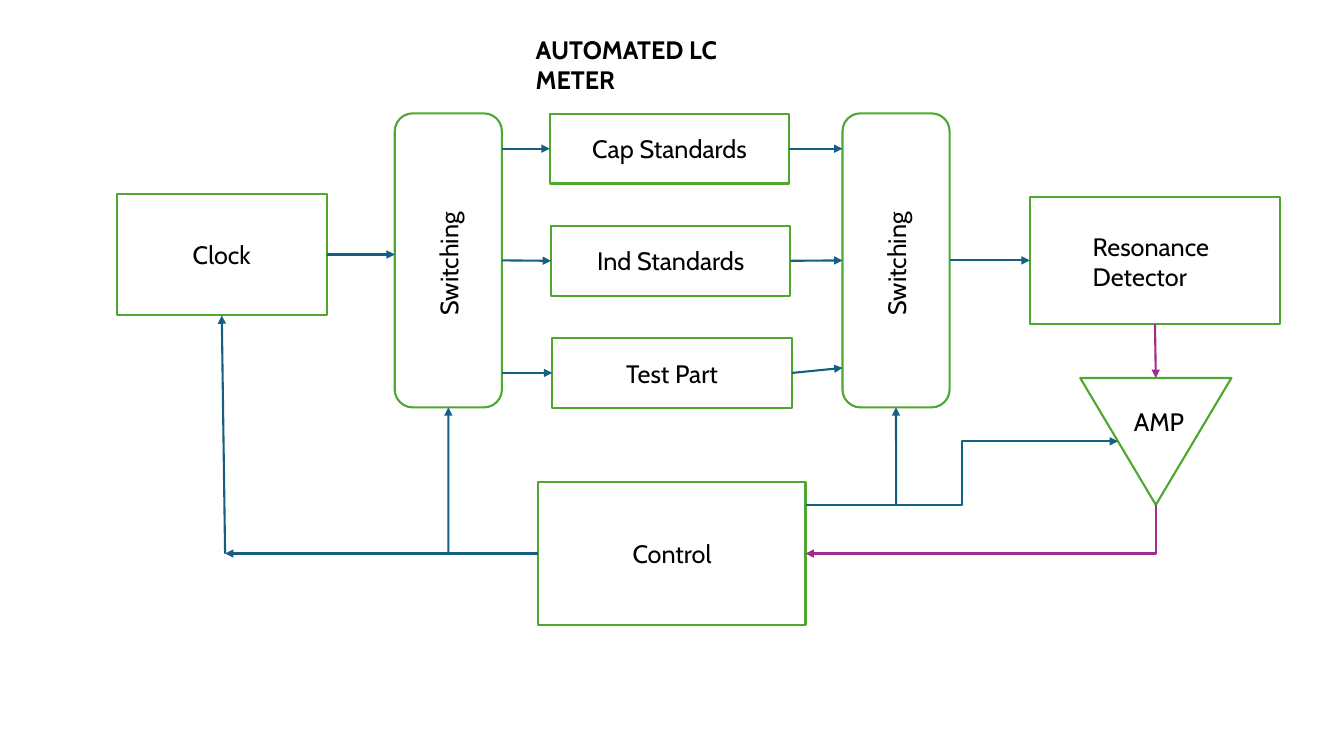
from lxml.etree import SubElement
from pptx import Presentation
from pptx.dml.color import RGBColor
from pptx.enum.shapes import MSO_CONNECTOR, MSO_SHAPE
from pptx.enum.text import MSO_ANCHOR, MSO_AUTO_SIZE, PP_ALIGN
from pptx.oxml.ns import qn
from pptx.util import Inches, Pt

ROWS, COLUMNS = 90, 160
CELL = Inches(7.5) / ROWS
BLACK = RGBColor(0x00, 0x00, 0x00)
WHITE = RGBColor(0xFF, 0xFF, 0xFF)
GREEN = RGBColor(0x4E, 0xA7, 0x2E)
TEAL = RGBColor(0x15, 0x60, 0x82)
PURPLE = RGBColor(0xA0, 0x2B, 0x93)
LEFT, BOTTOM, RIGHT = 1, 2, 3


def cells(*counts):
    return [round(count * CELL) for count in counts]


def write(frame, text, bold=False):
    frame.text = text
    for paragraph in frame.paragraphs:
        for run in paragraph.runs:
            run.font.name = "Cabin"
            run.font.size = Pt(18)
            run.font.bold = bold
            run.font.color.rgb = BLACK


def block(slide, area, text="", kind=MSO_SHAPE.RECTANGLE):
    outline = slide.shapes.add_shape(kind, *cells(*area))
    outline.shadow.inherit = False
    outline.fill.solid()
    outline.fill.fore_color.rgb = WHITE
    outline.line.color.rgb = GREEN
    outline.line.width = Pt(1.5)
    if text:
        write(outline.text_frame, text)
        outline.text_frame.vertical_anchor = MSO_ANCHOR.MIDDLE
        outline.text_frame.paragraphs[0].alignment = PP_ALIGN.CENTER
    return outline


def label(slide, area, text, bold=False, wrap=False, rotation=0):
    caption = slide.shapes.add_textbox(*cells(*area))
    caption.rotation = rotation
    caption.text_frame.word_wrap = wrap
    caption.text_frame.auto_size = MSO_AUTO_SIZE.SHAPE_TO_FIT_TEXT
    write(caption.text_frame, text, bold)


def switch(slide, left):
    top, width, height = 13.5, 12.75, 35
    label_width, label_height = 15.1, 4.8
    bank = block(slide, (left, top, width, height), kind=MSO_SHAPE.ROUNDED_RECTANGLE)
    label_left = left + (width - label_width) / 2
    label_top = top + (height - label_height) / 2 + 0.2
    label(slide, (label_left, label_top, label_width, label_height), "Switching", rotation=270)
    return bank


def arrow(slide, start=(0, 0), end=(0, 0), begin=None, finish=None,
          color=TEAL, kind=MSO_CONNECTOR.STRAIGHT):
    wire = slide.shapes.add_connector(kind, *cells(*start, *end))
    if begin:
        wire.begin_connect(*begin)
    if finish:
        wire.end_connect(*finish)
    wire.line.color.rgb = color
    wire.line.width = Pt(1.5)
    SubElement(wire.line._get_or_add_ln(), qn("a:tailEnd"), type="triangle")
    SubElement(wire._element.spPr, qn("a:effectLst"))
    return wire


def corner_arrow(slide, start, end, color):
    across, down = start[0] - end[0], end[1] - start[1]
    middle_x, middle_y = (start[0] + end[0]) / 2, (start[1] + end[1]) / 2
    wire = arrow(slide, (middle_x - down / 2, middle_y - across / 2),
                 (middle_x + down / 2, middle_y + across / 2),
                 color=color, kind=MSO_CONNECTOR.ELBOW)
    properties = wire._element.spPr
    properties.find(qn("a:xfrm")).set("rot", "5400000")
    properties.find(qn("a:prstGeom")).set("prst", "bentConnector2")


def main():
    deck = Presentation()
    deck.slide_width, deck.slide_height = cells(COLUMNS, ROWS)
    slide = deck.slides.add_slide(deck.slide_layouts[6])

    label(slide, (62.6, 3.5, 32.5, 4.8), "AUTOMATED LC METER", bold=True, wrap=True)
    generator = block(slide, (13.9, 23.05, 25, 14.5), "Clock")
    controller = block(slide, (64.1, 57.4, 31.8, 17), "Control")
    cap, ind, test = [
        block(slide, (65.45 + 0.15 * index, 13.55 + 13.35 * index, 28.5, 8.3), name)
        for index, name in enumerate(["Cap Standards", "Ind Standards", "Test Part"])
    ]
    source_switch = switch(slide, 47)
    sense_switch = switch(slide, 100.3)
    detector = block(slide, (122.6, 23.4, 29.8, 15.2))
    label(slide, (128.9, 26.9, 17.2, 8.5), "Resonance\nDetector")
    amp = block(slide, (128.6, 45, 18, 15.1), kind=MSO_SHAPE.ISOSCELES_TRIANGLE)
    amp.rotation = 180
    label(slide, (133.8, 47.75, 8.4, 4.8), "AMP")

    arrow(slide, end=(47, 30.3), begin=(generator, RIGHT))
    arrow(slide, start=(59.75, 17.7), finish=(cap, LEFT))
    arrow(slide, begin=(source_switch, RIGHT), finish=(ind, LEFT))
    arrow(slide, start=(59.75, 44.4), finish=(test, LEFT))
    arrow(slide, end=(100.3, 17.7), begin=(cap, RIGHT))
    arrow(slide, begin=(ind, RIGHT), finish=(sense_switch, LEFT))
    arrow(slide, end=(100.3, 43.8), begin=(test, RIGHT))
    arrow(slide, begin=(sense_switch, RIGHT), finish=(detector, LEFT))
    arrow(slide, end=(137.6, 45), begin=(detector, BOTTOM), color=PURPLE)

    arrow(slide, end=(26.8, 65.9), begin=(controller, LEFT))
    arrow(slide, start=(26.8, 65.9), finish=(generator, BOTTOM))
    arrow(slide, start=(53.38, 65.9), finish=(source_switch, BOTTOM))
    arrow(slide, start=(106.68, 60.1), finish=(sense_switch, BOTTOM))
    arrow(slide, (95.9, 60.1), (133.1, 52.55), kind=MSO_CONNECTOR.ELBOW)
    corner_arrow(slide, (137.6, 60.1), (95.9, 65.9), PURPLE)

    deck.save("out.pptx")


if __name__ == "__main__":
    main()
